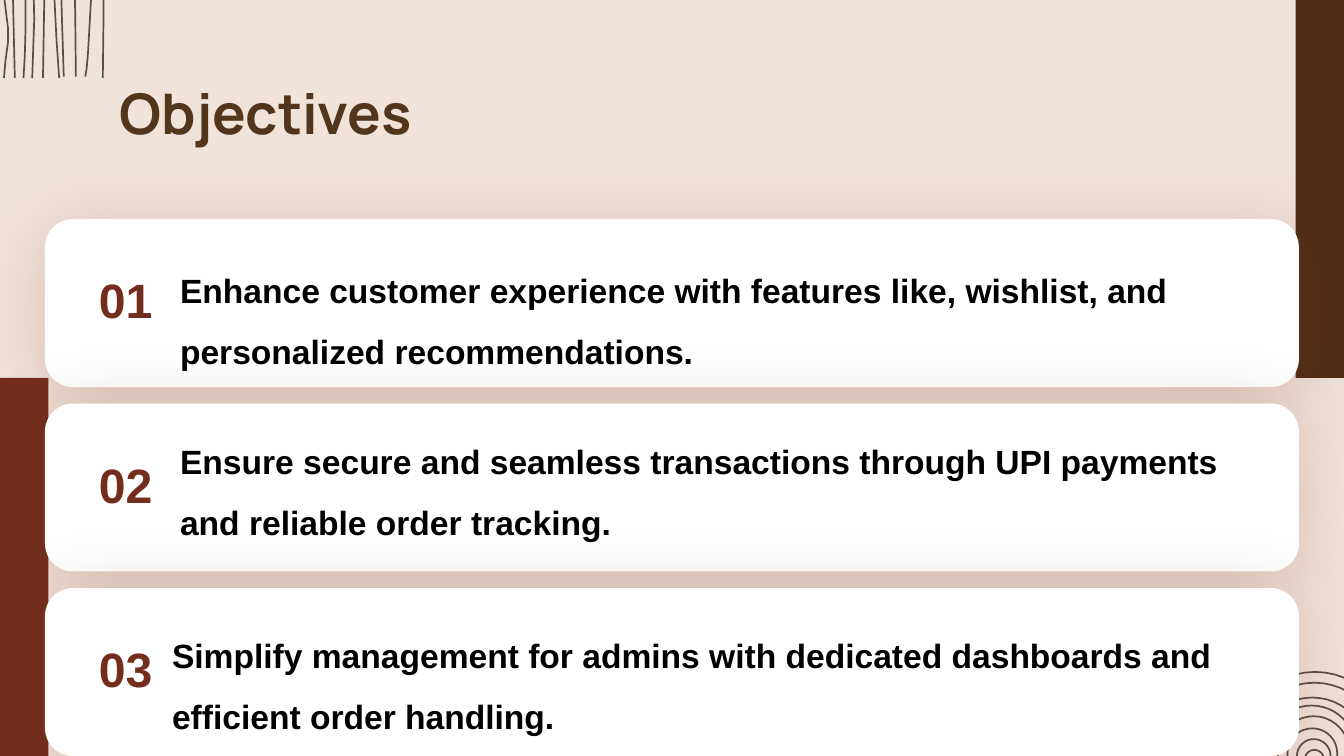
from math import cos, pi, sin

from lxml.etree import SubElement
from pptx import Presentation
from pptx.dml.color import RGBColor
from pptx.enum.shapes import MSO_SHAPE
from pptx.enum.text import MSO_ANCHOR, PP_ALIGN
from pptx.oxml.ns import qn
from pptx.util import Inches, Pt

WIDE = 10
HIGH = WIDE * 9 / 16
COLS = 100
CELL = Inches(WIDE) / COLS
ROWS = HIGH * COLS / WIDE

SAND, RUST, BARK, INK = "F0E3DA", "732D1D", "512D15", "574F49"
CARDS = [
    ("01", (10.05, 2.3, 79, 9.2),
     "Enhance customer experience with features like, wishlist, and "
     "personalized recommendations."),
    ("02", (10.05, 1.3, 79, 10.1),
     "Ensure secure and seamless transactions through UPI payments "
     "and reliable order tracking."),
    ("03", (9.45, 2, 79.5, 9.5),
     "Simplify management for admins with dedicated dashboards and "
     "efficient order handling."),
]
STRANDS = [
    [(0.6, 0), (0.4, 1.9), (0.6, 3.6), (0.8, 5.2), (0.8, 6.2), (0.6, 7.7), (0.5, 8.9)],
    [(1.1, 0), (1.2, 4.5), (1.3, 8.9)],
    [(2.1, 0), (2.1, 5.3), (2.05, 7.2), (1.95, 8.9)],
    [(2.65, 0), (2.75, 4.5), (2.6, 8.9)],
    [(3.55, 0), (3.4, 8.9)],
    [(4.3, 0), (4.25, 3), (4.4, 6), (4.6, 8.9)],
    [(4.7, 0), (4.8, 4), (4.95, 8.8)],
    [(5.7, 0), (5.8, 4), (5.85, 8.8)],
    [(7.15, 0), (6.75, 7.1), (6.65, 8.2), (6.55, 8.8)],
    [(7.9, 0), (7.9, 4.5), (7.85, 8.9)],
]
ARCHES = [
    (0, 0, 11.3, 12), (0.6, 0.8, 10, 11.1), (1.3, 1.9, 8.3, 10.1),
    (2.1, 2.5, 6.6, 9.4), (2.9, 3.3, 5.3, 8.6), (3.6, 4.2, 3.7, 7.7),
    (4.3, 5, 2.5, 6.5), (4.9, 5.8, 1.4, 5.9),
]


def hue(code):
    return RGBColor.from_string(code)


def style(item, **values):
    for name, value in values.items():
        setattr(item, name, value)


def place(box):
    return [round(n * CELL) for n in box]


def inner(box, part):
    return box[0] + part[0], box[1] + part[1], part[2], part[3]


def block(slide, box, code, kind=MSO_SHAPE.RECTANGLE):
    shape = slide.shapes.add_shape(kind, *place(box))
    shape.shadow.inherit = False
    shape.fill.solid()
    shape.fill.fore_color.rgb = hue(code)
    shape.line.fill.background()
    return shape


def write(frame, text, code, pad, para, font):
    edges = ("margin_left", "margin_top", "margin_right", "margin_bottom")
    style(frame, **dict(zip(edges, map(Inches, pad))))
    line = frame.paragraphs[0]
    style(line, **para)
    run = line.add_run()
    run.text = text
    style(run.font, bold=True, **font)
    run.font.color.rgb = hue(code)


def stroke(slide, points):
    start, *rest = map(place, points)
    pen = slide.shapes.build_freeform(*start)
    pen.add_line_segments(rest, close=False)
    shape = pen.convert_to_shape()
    shape.shadow.inherit = False
    shape.fill.background()
    shape.line.width = Pt(0.9)
    shape.line.color.rgb = hue(INK)


def fringe(slide, box):
    for strand in STRANDS:
        stroke(slide, [(box[0] + x, box[1] + y) for x, y in strand])


def rings(slide, box):
    steps = 24
    for arch in ARCHES:
        left, top, wide, high = inner(box, arch)
        rad = wide / 2
        curve = [(left + rad - rad * cos(pi * n / steps),
                  top + rad - rad * sin(pi * n / steps))
                 for n in range(steps + 1)]
        base = top + high
        stroke(slide, [(left, base), *curve, (left + wide, base)])


def bands(slide, box):
    left, top, wide, high = box
    band, half = 3.6, high / 2
    block(slide, (left + wide - band, top, band, half), BARK)
    block(slide, (left, top + half, band, half), RUST)


def head(slide, box):
    title = slide.shapes.title
    style(title, **dict(zip(("left", "top", "width", "height"), place(box))))
    style(title.text_frame, word_wrap=True, vertical_anchor=MSO_ANCHOR.TOP)
    write(title.text_frame, "Objectives", "53351B", [0.1] * 4,
          dict(alignment=PP_ALIGN.LEFT), dict(name="Manrope", size=Pt(30)))


def glow(shape):
    effects = shape._element.spPr.find(qn("a:effectLst"))
    shade = SubElement(effects, qn("a:outerShdw"), blurRad=str(Pt(40)),
                       dist=str(Pt(6)), dir="5400000", algn="t", rotWithShape="0")
    tint = SubElement(shade, qn("a:srgbClr"), val=RUST)
    SubElement(tint, qn("a:alpha"), val="20000")


def card(slide, box, label, part, text):
    glow(block(slide, box, "FFFFFF", MSO_SHAPE.ROUNDED_RECTANGLE))
    tag = slide.shapes.add_textbox(*place(inner(box, (2, 3.65, 8, 5.2)))).text_frame
    style(tag, word_wrap=False, vertical_anchor=MSO_ANCHOR.MIDDLE)
    write(tag, label, RUST, (0.1, 0.05, 0.1, 0.05),
          dict(alignment=PP_ALIGN.CENTER, line_spacing=0.9),
          dict(name="Arial", size=Pt(25.8)))
    body = slide.shapes.add_textbox(*place(inner(box, part))).text_frame
    style(body, word_wrap=True, vertical_anchor=MSO_ANCHOR.TOP)
    write(body, text, "000000", [0] * 4, dict(line_spacing=1.5),
          dict(name="Arial", size=Pt(18)))


def stack(slide, box):
    left, top, wide, high = box
    tall = 12.5
    pitch = (high - tall) / (len(CARDS) - 1)
    for n, (label, part, text) in enumerate(CARDS):
        card(slide, (left, top + n * pitch, wide, tall), label, part, text)


def main():
    deck = Presentation()
    style(deck, slide_width=Inches(WIDE), slide_height=Inches(HIGH))
    slide = deck.slides.add_slide(deck.slide_layouts[5])
    back = slide.background.fill
    back.solid()
    back.fore_color.rgb = hue(SAND)
    fringe(slide, (-0.2, -3.1, 8, 8.9))
    rings(slide, (92.2, 50, 11.3, 12))
    bands(slide, (0, 0, COLS, ROWS))
    head(slide, (7.9, 4.85, 84.3, 6.3))
    stack(slide, (3.35, 16.3, 93.3, ROWS - 16.3))
    deck.save("out.pptx")


if __name__ == "__main__":
    main()
